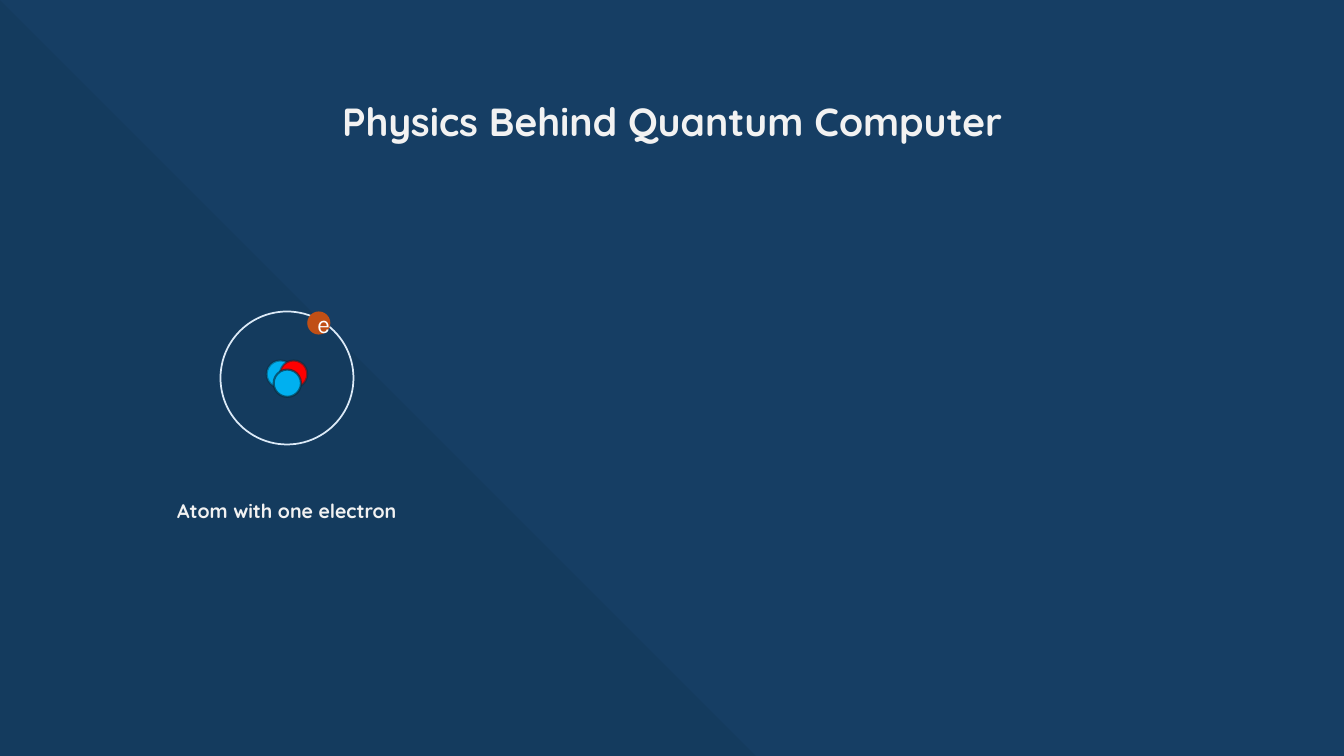
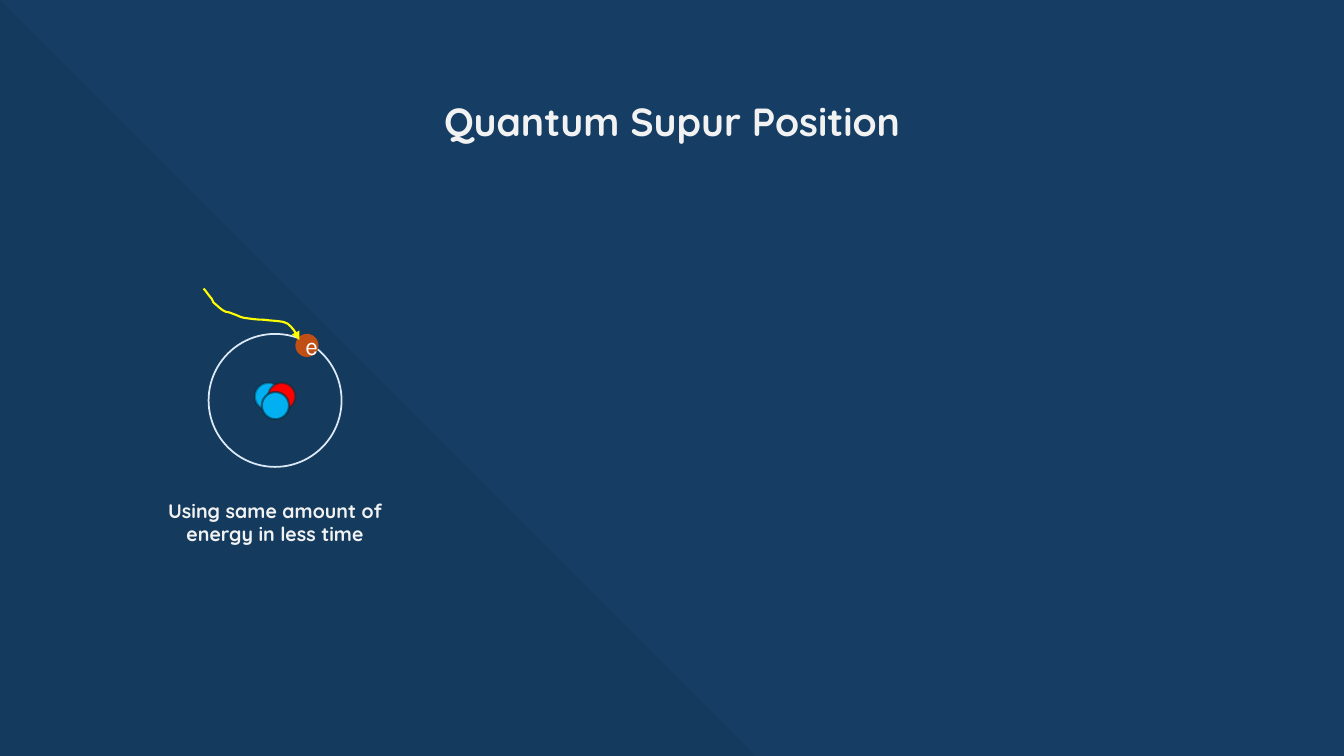
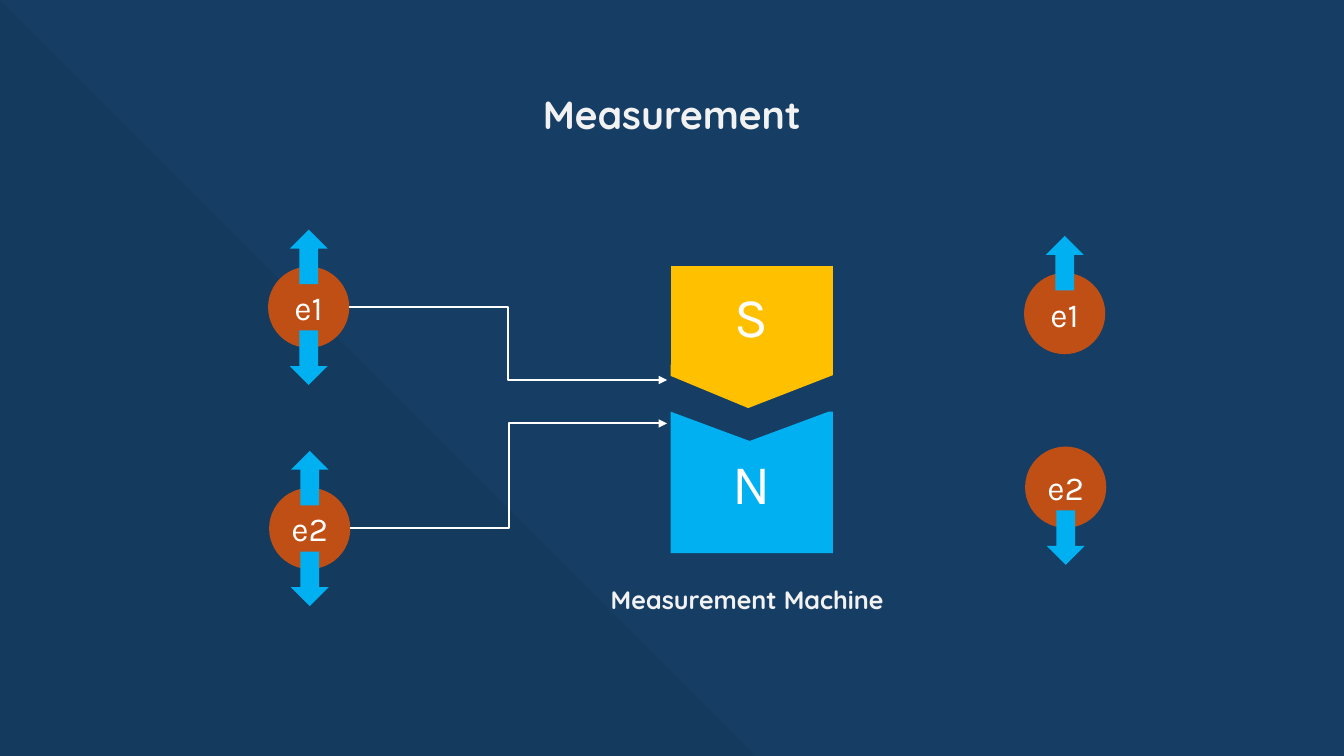
from lxml.etree import SubElement
from pptx import Presentation
from pptx.dml.color import RGBColor
from pptx.enum.shapes import MSO_CONNECTOR as Connector, MSO_SHAPE as Preset
from pptx.enum.text import MSO_ANCHOR as Anchor, MSO_AUTO_SIZE as AutoSize, PP_ALIGN as Align
from pptx.oxml.ns import qn
from pptx.util import Pt

SLIDE_WIDTH, SLIDE_HEIGHT = 960, 540
NAVY, SHADE, OUTLINE = "163E64", "0B3041", "092A39"
BLUE, RED, ORANGE, GOLD, YELLOW = "00B0F0", "FF0000", "C04F15", "FFC000", "FFFF00"
WHITE, OFF_WHITE, ORBIT_BLUE = "FFFFFF", "F2F2F2", "DCEAF7"
HEADING = {"name": "Quicksand", "bold": True}
LABEL = {"name": "Karla", "bold": False}
FITTED = {"word_wrap": True, "auto_size": AutoSize.SHAPE_TO_FIT_TEXT, "vertical_anchor": Anchor.TOP}
ATOM_SIZE = 95
ELECTRON_SIZE = 58
PHOTON_PATH = [
    (-3.6, -32.4),
    (-1.4, -30.2), (0, -27.4), (2.2, -25.2),
    (2.9, -24.5), (2.9, -23), (3.6, -22.3),
    (6.5, -20.2), (8.6, -17.3), (12.2, -15.8),
    (13.7, -15.8), (15.8, -15.1), (17.3, -14.4),
    (21.6, -13), (21.6, -12.2), (25.2, -11.5),
    (30.2, -10.8), (34.6, -10.1), (39.6, -10.1),
    (44.6, -9.4), (49, -9.4), (53.3, -8.6),
    (55.4, -7.9), (57.6, -7.2), (59, -5),
    (59.8, -3.6), (61.9, -2.2), (62.6, 0),
    (63.4, 3.6), (62.6, 2.2), (64.8, 4.3),
]


def set_formats(target, formats):
    for key, value in formats.items():
        setattr(target, key, value)


def paint(fill, color, opacity=100):
    if color is None:
        fill.background()
        return
    fill.solid()
    fill.fore_color.rgb = RGBColor.from_string(color)


def set_opacity(properties, opacity):
    color = properties.find(qn("a:solidFill"))[0]
    SubElement(color, qn("a:alpha")).set("val", str(opacity * 1000))


def style(shape, fill=None, line=None, weight=1.5):
    shape.shadow.inherit = False
    paint(shape.fill, fill)
    paint(shape.line.fill, line)
    if line:
        shape.line.width = Pt(weight)
    return shape


def write(shape, text, size, color, font):
    paragraph = shape.text_frame.paragraphs[0]
    paragraph.alignment = Align.CENTER
    run = paragraph.add_run()
    run.text = text
    set_formats(run.font, {**font, "size": Pt(size)})
    run.font.color.rgb = RGBColor.from_string(color)


def add_preset(slide, preset, box, **look):
    return style(slide.shapes.add_shape(preset, *map(Pt, box)), **look)


def add_outline(slide, left, top, points, closed=True, **look):
    start, *rest = [(Pt(left + x), Pt(top + y)) for x, y in points]
    builder = slide.shapes.build_freeform(*start, scale=1.0)
    builder.add_line_segments(rest, close=closed)
    return style(builder.convert_to_shape(), **look)


def add_arrowhead(line):
    SubElement(line.line._get_or_add_ln(), qn("a:tailEnd")).set("type", "triangle")


def add_caption(slide, text, box, size):
    caption = slide.shapes.add_textbox(*map(Pt, box))
    set_formats(caption.text_frame, FITTED)
    write(caption, text, size, OFF_WHITE, HEADING)


def add_titled_slide(deck, text, top=66):
    slide = deck.slides.add_slide(deck.slide_layouts[5])
    corner = add_preset(slide, Preset.RIGHT_TRIANGLE, (0, 0, SLIDE_HEIGHT, SLIDE_HEIGHT), fill=SHADE)
    set_opacity(corner.element.spPr, 15)
    slide.shapes.element.insert(2, corner.element)
    title = slide.shapes.title
    width = 669
    set_formats(title, {"left": Pt((SLIDE_WIDTH - width) / 2), "top": Pt(top),
                        "width": Pt(width), "height": Pt(41)})
    set_formats(title.text_frame, FITTED)
    write(title, text, 28, OFF_WHITE, HEADING)
    return slide


def add_atom(slide, left, top):
    add_preset(slide, Preset.OVAL, (left, top, ATOM_SIZE, ATOM_SIZE), line=ORBIT_BLUE, weight=1.25)
    for x, y, color, opacity in ((33, 35, BLUE, 43), (42.5, 35, RED, 50), (38, 41.5, BLUE, 64)):
        nucleon = add_preset(slide, Preset.OVAL, (left + x, top + y, 19.5, 19.5),
                             fill=color, line=OUTLINE)
        set_opacity(nucleon.line._get_or_add_ln(), opacity)
    electron = add_preset(slide, Preset.OVAL, (left + 62, top, 16.5, 16.5), fill=ORANGE)
    write(electron, "e", 18, WHITE, LABEL)


def add_atom_caption(slide, text, left, height):
    width = 184
    add_caption(slide, text, (left + (ATOM_SIZE - width) / 2, 352.5, width, height), 14)


def add_photon(slide, left, top):
    photon = add_outline(slide, left, top, PHOTON_PATH, closed=False, line=YELLOW)
    outline = photon.element.find(".//" + qn("a:path"))
    steps = outline.findall(qn("a:lnTo"))
    for first in range(0, len(steps), 3):
        curve = SubElement(outline, qn("a:cubicBezTo"))
        for step in steps[first:first + 3]:
            curve.append(step[0])
            outline.remove(step)
    add_arrowhead(photon)


def add_spin_electron(slide, text, left, top, spins):
    electron = add_preset(slide, Preset.OVAL, (left, top, ELECTRON_SIZE, ELECTRON_SIZE), fill=ORANGE)
    write(electron, text, 24, WHITE, LABEL)
    length, breadth, reach = 39, 27, 36
    for spin in spins:
        center_x = left + ELECTRON_SIZE / 2
        center_y = top + ELECTRON_SIZE / 2 + spin * reach
        arrow = add_preset(slide, Preset.RIGHT_ARROW,
                           (center_x - length / 2, center_y - breadth / 2, length, breadth), fill=BLUE)
        arrow.rotation = 90 if spin > 0 else 270


def add_magnet(slide, left, top, width):
    north = add_outline(slide, left, top, [(0, 104), (56.5, 125), (113, 104), (width, 104),
                                           (width, 205), (0, 205)], fill=BLUE)
    north.text_frame.bottom_margin = Pt(11)
    add_outline(slide, left, top, [(0, 70.5), (width, 70.5), (width, 78), (55.5, 101.5), (0, 78.5)],
                fill=GOLD)
    south = add_outline(slide, left, top, [(0, 0), (width, 0), (width, 70.5), (0, 70.5)], fill=GOLD)
    for pole, text in ((north, "N"), (south, "S")):
        pole.text_frame.vertical_anchor = Anchor.MIDDLE
        write(pole, text, 40, WHITE, LABEL)


def add_beam(slide, start, end):
    beam = slide.shapes.add_connector(Connector.ELBOW, *map(Pt, start + end))
    paint(beam.line.fill, WHITE)
    beam.line.width = Pt(1.5)
    add_arrowhead(beam)
    SubElement(beam.element.spPr, qn("a:effectLst"))


def build_physics(deck):
    slide = add_titled_slide(deck, "Physics Behind Quantum Computer")
    left = 157.5
    add_atom(slide, left, 222.5)
    add_atom_caption(slide, "Atom with one electron", left, 24.5)


def build_superposition(deck):
    slide = add_titled_slide(deck, "Quantum Supur Position")
    left, top = 149, 238.5
    add_atom(slide, left, top)
    add_photon(slide, left, top)
    add_atom_caption(slide, "Using same amount of energy in less time", left, 41)


def build_measurement(deck):
    slide = add_titled_slide(deck, "Measurement", top=61)
    add_magnet(slide, 479, 190, 116)
    add_caption(slide, "Measurement Machine ", (414.5, 413.5, 243.5, 29), 18)
    electrons = (
        ("e1", 191.5, 190.5, 271.5, 731.5, 195, -1),
        ("e2", 192.25, 348.5, 302.5, 732.25, 319, 1),
    )
    for text, left, top, entry, measured_left, measured_top, spin in electrons:
        add_spin_electron(slide, text, left, top, (1, -1))
        add_beam(slide, (left + ELECTRON_SIZE, top + ELECTRON_SIZE / 2), (476.5, entry))
        add_spin_electron(slide, text, measured_left, measured_top, (spin,))


def main():
    deck = Presentation()
    set_formats(deck, {"slide_width": Pt(SLIDE_WIDTH), "slide_height": Pt(SLIDE_HEIGHT)})
    paint(deck.slide_master.background.fill, NAVY)
    for build in (build_physics, build_superposition, build_measurement):
        build(deck)
    deck.save("out.pptx")


if __name__ == "__main__":
    main()
